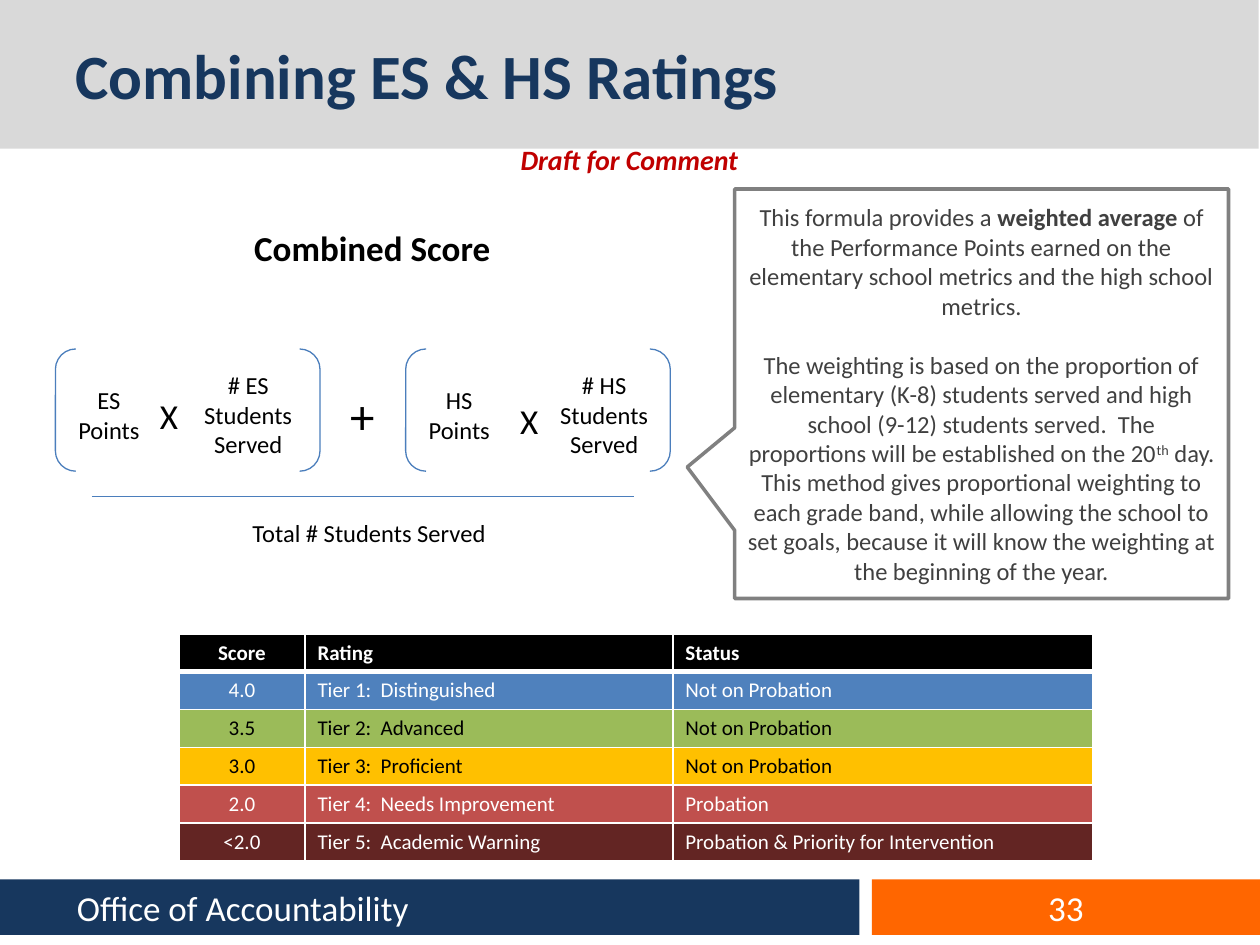
from lxml import etree
from pptx import Presentation
from pptx.dml.color import RGBColor
from pptx.enum.shapes import MSO_CONNECTOR, MSO_SHAPE
from pptx.enum.text import MSO_ANCHOR, PP_ALIGN
from pptx.oxml.ns import qn
from pptx.util import Inches, Pt

LEFT, CENTER = PP_ALIGN.LEFT, PP_ALIGN.CENTER
TOP, MIDDLE = MSO_ANCHOR.TOP, MSO_ANCHOR.MIDDLE
RECTANGLE, CALLOUT = MSO_SHAPE.RECTANGLE, MSO_SHAPE.RECTANGULAR_CALLOUT
BRACKETS, STRAIGHT = MSO_SHAPE.DOUBLE_BRACKET, MSO_CONNECTOR.STRAIGHT

# The slide is a grid of 100 columns by 75 rows
SLIDE_WIDTH, SLIDE_HEIGHT = Inches(10), Inches(7.5)
COLUMN, ROW = SLIDE_WIDTH / 100, SLIDE_HEIGHT / 75

COLORS = {
    "band": "D9D9D9", "navy": "17375E", "orange": "FF6600", "white": "FFFFFF",
    "black": "000000", "red": "C00000", "formula": "4B7EBC", "border": "808080",
    "body": "404040", "tier1": "4F81BD", "tier2": "9BBB59", "tier3": "FFC000",
    "tier4": "C0504D", "tier5": "632523",
}

RATINGS = [
    ("black", "white", "Score", "Rating", "Status"),
    ("tier1", "white", "4.0", "Tier 1:  Distinguished", "Not on Probation"),
    ("tier2", "black", "3.5", "Tier 2:  Advanced", "Not on Probation"),
    ("tier3", "black", "3.0", "Tier 3:  Proficient", "Not on Probation"),
    ("tier4", "white", "2.0", "Tier 4:  Needs Improvement", "Probation"),
    ("tier5", "white", "<2.0", "Tier 5:  Academic Warning",
     "Probation & Priority for Intervention"),
]
RATING_COLUMNS = (10, 29.2, 33.3)

EXPLANATION = [
    [("This formula provides a ", {}), ("weighted average ", {"bold": True}),
     ("of the Performance Points earned on the elementary school metrics and "
      "the high school metrics.", {})],
    [("The weighting is based on the proportion of elementary (K-8) students "
      "served and high school (9-12) students served.  The proportions will be "
      "established on the 20", {}), ("th", {"baseline": 30000}),
     (" day. This method gives proportional weighting to each grade band, while "
      "allowing the school to set goals, because it will know the weighting at "
      "the beginning of the year.", {})],
]


def rgb(name):
    return RGBColor.from_string(COLORS[name])


def place(box, left, top, width, height):
    """Turn grid cells inside a box into slide lengths."""
    return (round((box[0] + left) * COLUMN), round((box[1] + top) * ROW),
            round(width * COLUMN), round(height * ROW))


def add_run(paragraph, text, size, color="black", baseline=None, **formats):
    run = paragraph.add_run()
    run.text = text
    for name, value in {"name": "Calibri", "size": Pt(size), **formats}.items():
        setattr(run.font, name, value)
    run.font.color.rgb = rgb(color)
    if baseline:
        run._r.get_or_add_rPr().set("baseline", str(baseline))


def write(frame, paragraphs, size, color="black", align=CENTER, anchor=TOP,
          wrap=True, indent=1, gap=0, **formats):
    """Fill a text frame; each paragraph is a string or a list of runs."""
    settings = {"word_wrap": wrap, "vertical_anchor": anchor,
                "margin_left": round(indent * COLUMN)}
    for name, value in settings.items():
        setattr(frame, name, value)
    for index, content in enumerate(paragraphs):
        paragraph = frame.add_paragraph() if index else frame.paragraphs[0]
        paragraph.alignment = align
        paragraph.space_before = Pt(gap if index else 0)
        runs = [(content, {})] if isinstance(content, str) else content
        for text, run_formats in runs:
            add_run(paragraph, text, size, color, **{**formats, **run_formats})


def add_text(shapes, position, paragraphs, size, **options):
    write(shapes.add_textbox(*position).text_frame, paragraphs, size, **options)


def add_panel(shapes, kind, position, fill=None, line=None, weight=0.75):
    panel = shapes.add_shape(kind, *position)
    panel.shadow.inherit = False
    for part, color in ((panel.fill, fill), (panel.line.fill, line)):
        if color:
            part.solid()
            part.fore_color.rgb = rgb(color)
        else:
            part.background()
    if line:
        panel.line.width = Pt(weight)
    return panel


def add_header(shapes, box):
    width, height = box[2:]
    add_panel(shapes, RECTANGLE, place(box, 0, 0, width, height), "band")
    add_text(shapes, place(box, 0, 0, 79.2, height), ["Combining ES & HS Ratings"],
             36, color="navy", align=LEFT, anchor=MIDDLE, indent=6, bold=True)
    add_text(shapes, place(box, 38.3, 10.8, 23.3, 3.7), ["Draft for Comment"],
             16, color="red", bold=True, italic=True)


def add_footer(shapes, box):
    width, height = box[2:]
    office_width, number_left = 68.2, 69.2
    office = add_panel(shapes, RECTANGLE, place(box, 0, 0, office_width, height), "navy")
    write(office.text_frame, ["Office of Accountability"], 20, color="white",
          align=LEFT, anchor=MIDDLE, indent=6.1)
    number = add_panel(shapes, RECTANGLE,
                       place(box, number_left, 0, width - number_left, height), "orange")
    write(number.text_frame, ["33"], 20, color="white", anchor=MIDDLE)


def add_term(shapes, box, band, times_left, times_top, students_width):
    """Points times students for one grade band, in brackets."""
    add_panel(shapes, BRACKETS, place(box, 0, 0, *box[2:]), line="formula")
    add_text(shapes, place(box, -1.95, 2.4, 12.4, 5.7), [band, "Points"], 14)
    add_text(shapes, place(box, times_left, times_top, 3.5, 4.4), ["X"], 20,
             align=LEFT, wrap=False)
    add_text(shapes, place(box, 9.55, 1.2, students_width, 8.1),
             [f"# {band} Students Served"], 14)


def add_formula(slide, box):
    shapes = slide.shapes.add_group_shape().shapes
    left, top = box[:2]
    add_text(shapes, place(box, 14.7, 0, 20.9, 4.4), ["Combined Score"], 20,
             wrap=False, bold=True)
    # Numerator
    add_term(shapes, (left, top + 10.2, 21, 9.7), "ES", 7.3, 3.1, 11.5)
    add_text(shapes, place(box, 22.4, 12.6, 4, 5.7), ["+"], 28, align=LEFT, wrap=False)
    add_term(shapes, (left + 27.8, top + 10.2, 21, 9.7), "HS", 8.1, 3.5, 12.4)
    # Fraction bar and denominator
    start_x, y, length, _ = place(box, 2.9, 21.9, 43, 0)
    bar = shapes.add_connector(STRAIGHT, start_x, y, start_x + length, y)
    bar.line.color.rgb = rgb("formula")
    bar.line.width = Pt(0.75)
    etree.SubElement(bar._element.spPr, qn("a:effectLst"))
    add_text(shapes, place(box, 14.4, 23.1, 21, 3.4), ["Total # Students Served"], 14)


def add_explanation(shapes, box):
    callout = add_panel(shapes, CALLOUT, place(box, 0, 0, *box[2:]),
                        "white", "border", 2)
    callout.adjustments[0], callout.adjustments[1] = -0.596, 0.179
    write(callout.text_frame, EXPLANATION, 14, color="body", anchor=MIDDLE, gap=17)


def set_borders(cell, weights):
    properties = cell._tc.get_or_add_tcPr()
    for index, (side, weight) in enumerate(weights.items()):
        line = etree.Element(qn(f"a:ln{side}"), w=str(Pt(weight)))
        fill = etree.SubElement(line, qn("a:solidFill"))
        etree.SubElement(fill, qn("a:srgbClr"), val=COLORS["white"])
        properties.insert(index, line)


def add_ratings(shapes, box):
    table = shapes.add_table(len(RATINGS), len(RATING_COLUMNS),
                             *place(box, 0, 0, *box[2:])).table
    for column, width in zip(table.columns, RATING_COLUMNS):
        column.width = round(width * COLUMN)
    for row, (fill, color, *texts) in enumerate(RATINGS):
        table.rows[row].height = round(box[3] / len(RATINGS) * ROW)
        for column, text in enumerate(texts):
            cell = table.cell(row, column)
            cell.fill.solid()
            cell.fill.fore_color.rgb = rgb(fill)
            paragraph = cell.text_frame.paragraphs[0]
            paragraph.alignment = LEFT if column else CENTER
            add_run(paragraph, text, 12, color, bold=row == 0)
            set_borders(cell, {"L": 1, "R": 1, "T": 3 if row == 1 else 1,
                               "B": 3 if row == 0 else 1})


def main():
    presentation = Presentation()
    presentation.slide_width, presentation.slide_height = SLIDE_WIDTH, SLIDE_HEIGHT
    slide = presentation.slides.add_slide(presentation.slide_layouts[6])
    # Regions as left, top, width, height in grid cells
    add_header(slide.shapes, (0, 0, 99.9, 11.8))
    add_footer(slide.shapes, (0, 69.8, 100, 4.4))
    add_formula(slide, (4.4, 17.5, 48.8, 26.5))
    add_explanation(slide.shapes, (58.3, 15, 39.2, 32.5))
    add_ratings(slide.shapes, (14.2, 50.3, 72.5, 18))
    presentation.save("out.pptx")


if __name__ == "__main__":
    main()
